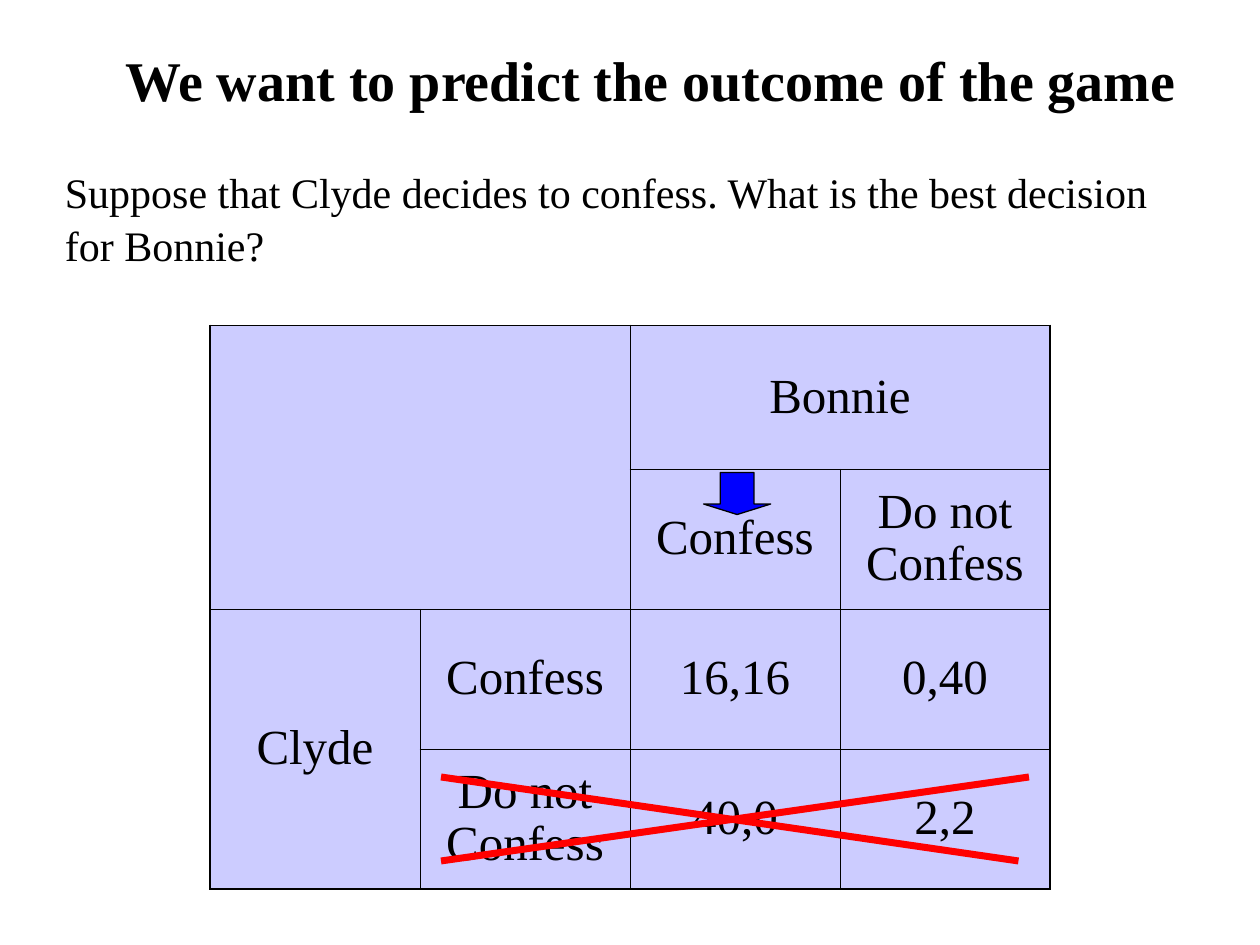
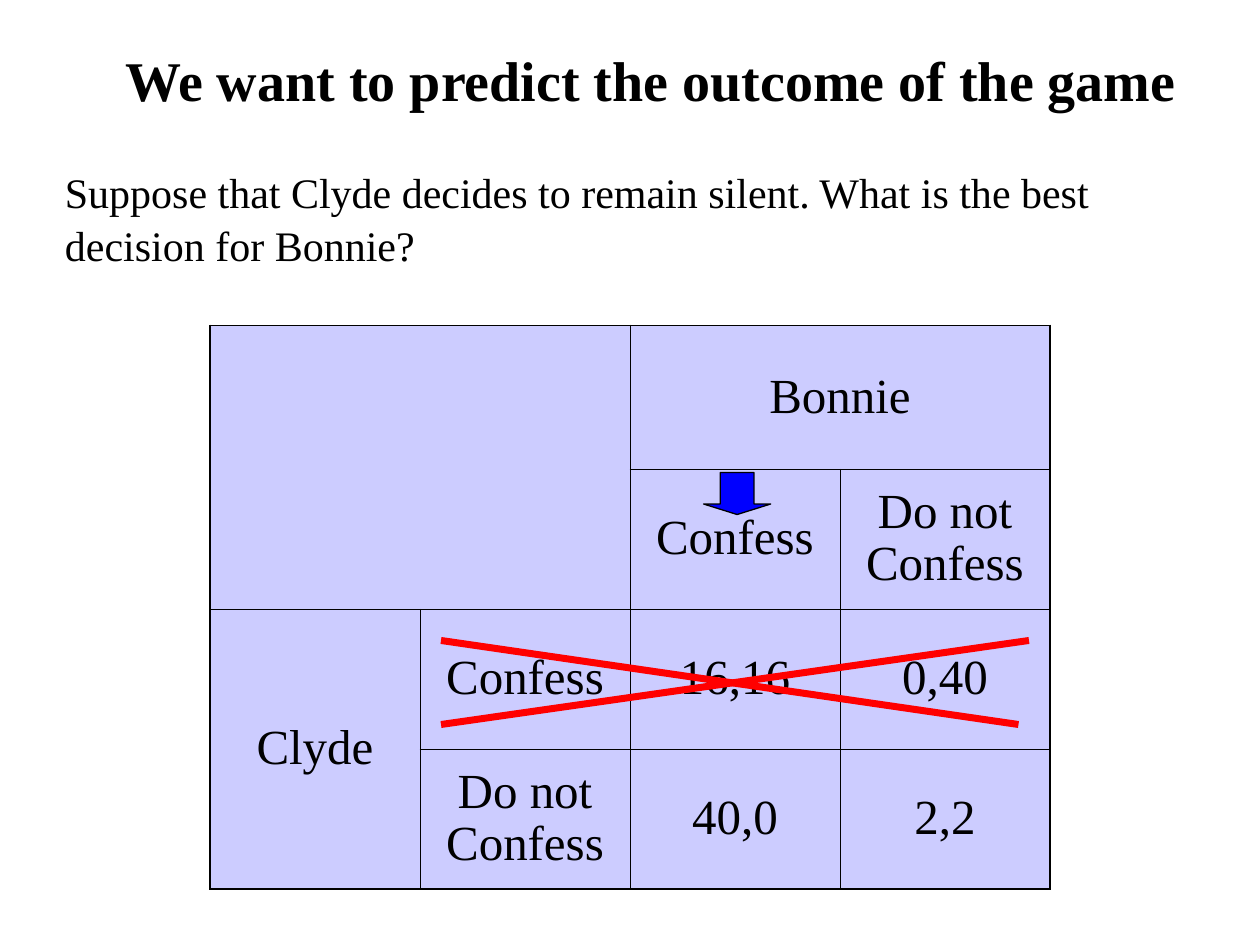
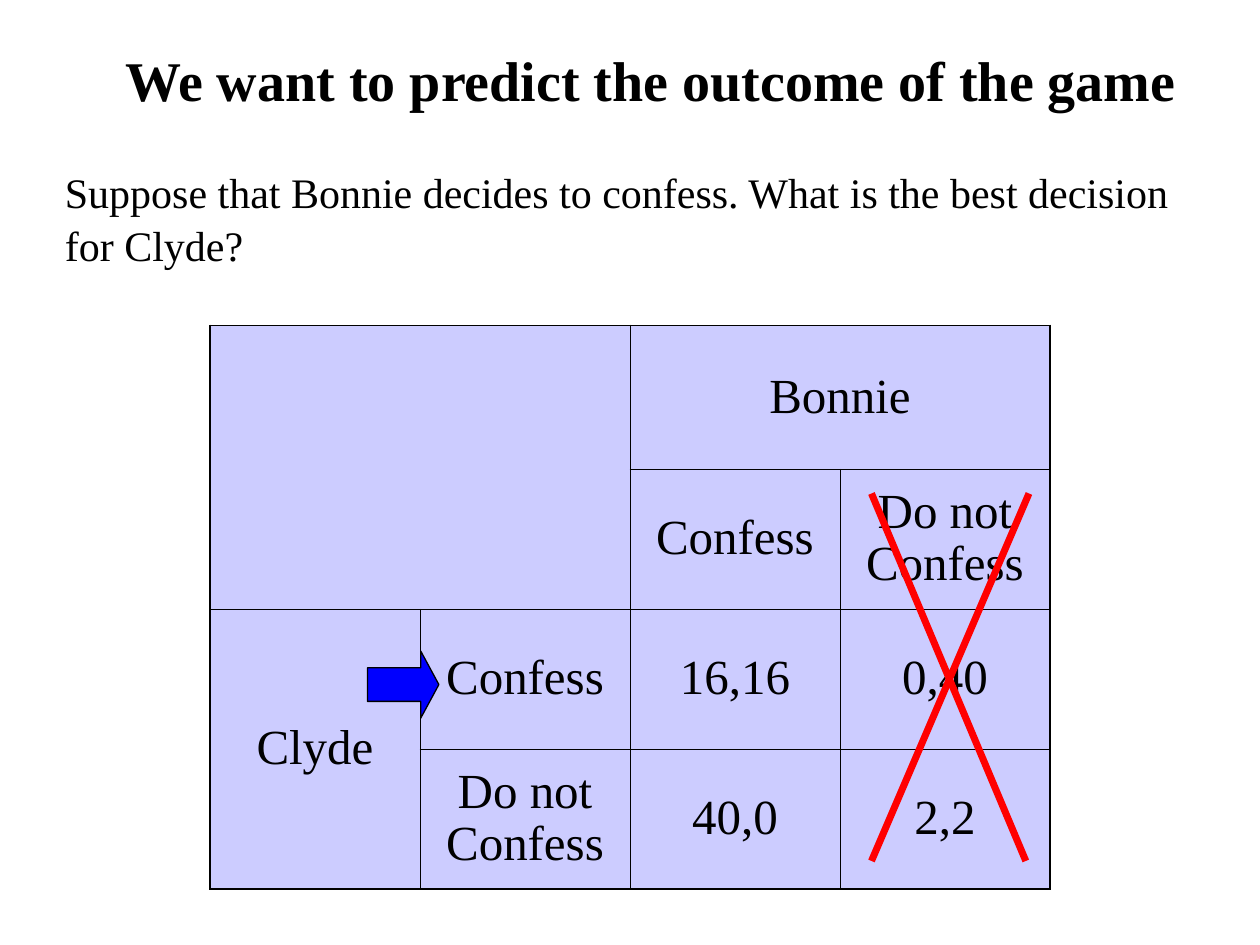
from lxml import etree
from pptx import Presentation
from pptx.dml.color import RGBColor
from pptx.enum.shapes import MSO_CONNECTOR, MSO_SHAPE
from pptx.enum.text import MSO_ANCHOR, MSO_AUTO_SIZE, PP_ALIGN
from pptx.oxml.ns import qn
from pptx.util import Inches, Pt

BLACK = RGBColor(0x00, 0x00, 0x00)
RED = RGBColor(0xFF, 0x00, 0x00)
BLUE = RGBColor(0x00, 0x00, 0xFF)
LAVENDER = RGBColor(0xCC, 0xCC, 0xFF)

STRAIGHT = MSO_CONNECTOR.STRAIGHT
DOWN, RIGHT = MSO_SHAPE.DOWN_ARROW, MSO_SHAPE.RIGHT_ARROW
MIDDLE, TOP = MSO_ANCHOR.MIDDLE, MSO_ANCHOR.TOP
CENTER, LEFT = PP_ALIGN.CENTER, PP_ALIGN.LEFT
FIXED = MSO_AUTO_SIZE.NONE

TITLE = "We want to predict the outcome of the game"
PAYOFFS = [
    ["", "", "Bonnie", ""],
    ["", "", "Confess", "Do not Confess"],
    ["Clyde", "Confess", "16,16", "0,40"],
    ["", "Do not Confess", "40,0", "2,2"],
]
MERGES = [((0, 0), (1, 1)), ((0, 2), (0, 3)), ((2, 0), (3, 0))]
OUTER, INNER = 1.08, 0.45


class Deck:
    columns, rows = 120, 90
    base = {"name": "Times New Roman", "bold": False}
    title_font = {**base, "size": Pt(32), "bold": True}
    body_font = {**base, "size": Pt(24)}
    cell_font = {**base, "size": Pt(28)}

    def __init__(self):
        self.prs = Presentation()
        self.prs.slide_width, self.prs.slide_height = Inches(10), Inches(7.5)
        self.s = None

    def x(self, column):
        return round(self.prs.slide_width * column / self.columns)

    def y(self, row):
        return round(self.prs.slide_height * row / self.rows)

    def box(self, left, top, width, height):
        return self.x(left), self.y(top), self.x(width), self.y(height)

    def paragraph(self, tf, text, font, align, spacing=1.0):
        p = tf.paragraphs[0]
        p.alignment, p.line_spacing, p.space_before = align, spacing, Pt(0)
        r = p.add_run()
        r.text = text
        for key, value in font.items():
            setattr(r.font, key, value)
        r.font.color.rgb = BLACK

    def slide(self, title):
        self.s = self.prs.slides.add_slide(self.prs.slide_layouts[5])
        sp = self.s.shapes.title
        sp.left, sp.top, sp.width, sp.height = self.box(9, 3, 106, 9)
        tf = sp.text_frame
        tf.auto_size, tf.vertical_anchor = FIXED, MIDDLE
        self.paragraph(tf, title, self.title_font, CENTER)

    def text(self, text, *place):
        tf = self.s.shapes.add_textbox(*self.box(*place)).text_frame
        tf.word_wrap, tf.vertical_anchor = True, TOP
        self.paragraph(tf, text, self.body_font, LEFT, 1.05)

    def border(self, cell, side, width):
        ln = etree.SubElement(cell._tc.get_or_add_tcPr(), qn(f"a:ln{side}"), w=str(int(Pt(width))))
        fill = etree.SubElement(ln, qn("a:solidFill"))
        etree.SubElement(fill, qn("a:srgbClr"), val=str(BLACK))

    def table(self, values, merges, heights, *place):
        n_rows, n_cols = len(values), len(values[0])
        table = self.s.shapes.add_table(n_rows, n_cols, *self.box(*place)).table
        table.first_row = table.horz_banding = False
        for row, height in zip(table.rows, heights):
            row.height = self.y(height)
        for first, last in merges:
            table.cell(*first).merge(table.cell(*last))
        for i, line in enumerate(values):
            for j, value in enumerate(line):
                cell = table.cell(i, j)
                if cell.is_spanned:
                    continue
                down = cell.span_height if cell.is_merge_origin else 1
                across = cell.span_width if cell.is_merge_origin else 1
                edges = {"L": j == 0, "R": j + across == n_cols,
                         "T": i == 0, "B": i + down == n_rows}
                for side, on_edge in edges.items():
                    self.border(cell, side, OUTER if on_edge else INNER)
                cell.fill.solid()
                cell.fill.fore_color.rgb = LAVENDER
                cell.vertical_anchor = MIDDLE
                if value:
                    self.paragraph(cell.text_frame, value, self.cell_font, CENTER, 0.96)

    def cross(self, left, top, rising_end, falling_end, bottom):
        group = self.s.shapes.add_group_shape()
        for start, right, end in ((bottom, rising_end, top), (top, falling_end, bottom)):
            line = group.shapes.add_connector(
                STRAIGHT, self.x(left), self.y(start), self.x(right), self.y(end))
            line.line.color.rgb, line.line.width = RED, Pt(4)
            etree.SubElement(line._element.spPr, qn("a:effectLst"))

    def arrow(self, kind, head, *place):
        sp = self.s.shapes.add_shape(kind, *self.box(*place))
        sp.adjustments[0], sp.adjustments[1] = 0.5, head
        sp.shadow.inherit = False
        sp.fill.solid()
        sp.fill.fore_color.rgb = BLUE
        sp.line.color.rgb, sp.line.width = BLACK, Pt(0.75)


def main():
    deck = Deck()
    confess_column = (DOWN, 0.25, 67, 45, 6.4, 4)
    confess_row = (RIGHT, 0.27, 35, 62, 6.8, 6.4)
    cases = [
        ("Clyde decides to confess", "Bonnie", (42, 74, 98, 97, 82), confess_column),
        ("Clyde decides to remain silent", "Bonnie", (42, 61, 98, 97, 69), confess_column),
        ("Bonnie decides to confess", "Clyde", (83, 47, 98, 97.7, 82), confess_row),
    ]
    for choice, player, cross, arrow in cases:
        deck.slide(TITLE)
        deck.table(PAYOFFS, MERGES, [13.7] + [13.33] * 3, 20, 31, 80, 53.7)
        deck.text(f"Suppose that {choice}. What is the best decision for {player}?",
                  5, 15, 111, 10.8)
        deck.cross(*cross)
        deck.arrow(*arrow)
    deck.prs.save("out.pptx")


if __name__ == "__main__":
    main()
